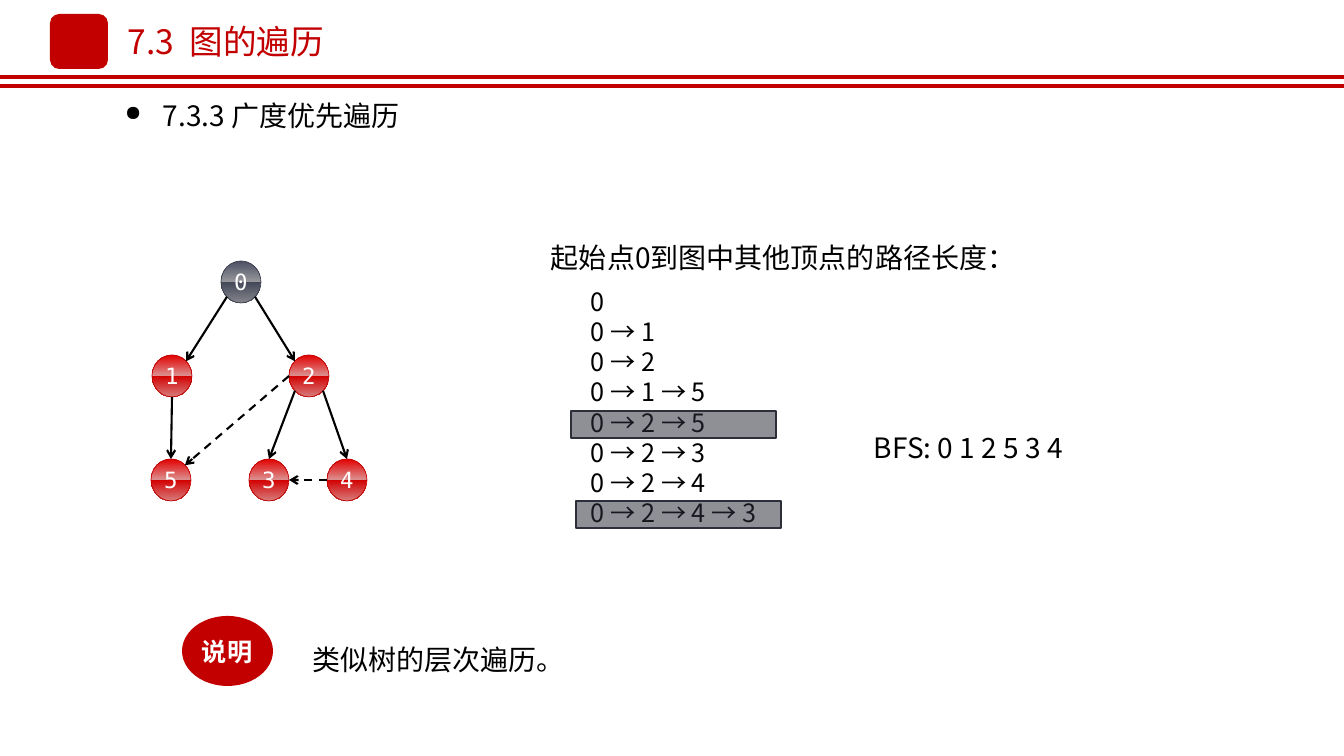
from lxml.etree import SubElement
from pptx import Presentation
from pptx.dml.color import RGBColor
from pptx.enum.dml import MSO_LINE
from pptx.enum.shapes import MSO_CONNECTOR, MSO_SHAPE
from pptx.enum.text import MSO_ANCHOR, MSO_AUTO_SIZE, PP_ALIGN
from pptx.oxml.ns import qn
from pptx.util import Pt

EMU_PER_PX = 914400 / 100.8
SLIDE_W, SLIDE_H = 1344, 756

RED = RGBColor(0xC3, 0x00, 0x00)
SLATE = RGBColor(0x2C, 0x2E, 0x3A)
SLATE_EDGE = RGBColor(0x3B, 0x3E, 0x4D)
BLACK = RGBColor(0x00, 0x00, 0x00)
WHITE = RGBColor(0xFF, 0xFF, 0xFF)
# Gloss: colours at 0, 50, 50 and 100 percent
GLOSS_STOPS = (0, 50, 50, 100)
RED_GLOSS = [RGBColor.from_string(c) for c in ("E20000", "DC9090", "D30000", "D77C7C")]
SLATE_GLOSS = [RGBColor.from_string(c) for c in ("4B4F62", "97979C", "434758", "84858B")]

CJK = "Noto Sans CJK SC"
MONO = "DejaVu Sans Mono"

# Node label: left, top inside the graph box
NODES = {"0": (70, 0), "1": (1, 94), "2": (138, 94),
         "5": (0, 198), "3": (98, 198), "4": (176, 198)}
NODE_W, NODE_H = 40, 42
# Points on a node's rim, as fractions of its size
RIM = {"top": (0.5, 0), "bottom": (0.5, 1), "left": (0, 0.5), "right": (1, 0.5),
       "top left": (0.15, 0.15), "top right": (0.85, 0.15),
       "bottom left": (0.15, 0.85), "bottom right": (0.85, 0.85)}
# From node, its rim point, to node, its rim point, dashed
EDGES = [("0", "bottom left", "1", "top right", False),
         ("0", "bottom right", "2", "top left", False),
         ("1", "bottom", "5", "top", False),
         ("2", "bottom left", "3", "top", False),
         ("2", "bottom right", "4", "top", False),
         ("4", "left", "3", "right", True),
         ("2", "left", "5", "top right", True)]
PATHS = ["0", "0 → 1", "0 → 2", "0 → 1 → 5", "0 → 2 → 5",
         "0 → 2 → 3", "0 → 2 → 4", "0 → 2 → 4 → 3"]


def px(length):
    return round(length * EMU_PER_PX)


def write(frame, text, size=20, color=BLACK, font=CJK, bold=False, align=None,
          bullet=None, line=None):
    for index, words in enumerate(text.split("\n")):
        paragraph = frame.paragraphs[0] if index == 0 else frame.add_paragraph()
        paragraph.alignment = align
        if line:
            paragraph.line_spacing = Pt(line)
        if bullet:
            props = paragraph._p.get_or_add_pPr()
            props.set("marL", str(px(38)))
            props.set("indent", str(-px(38)))
            SubElement(props, qn("a:buSzPct"), val="75000")
            SubElement(props, qn("a:buChar"), char=bullet)
        run = paragraph.add_run()
        run.text = words
        run.font.size, run.font.bold = Pt(size), bold
        run.font.color.rgb = color
        run.font.name = font
        SubElement(run._r.get_or_add_rPr(), qn("a:ea"), typeface=font)


def add_label(slide, text, box, wrap=True, insets=(10, 5, 10, 5),
              anchor=MSO_ANCHOR.TOP, **text_format):
    frame = slide.shapes.add_textbox(*map(px, box)).text_frame
    frame.word_wrap = wrap
    frame.auto_size = MSO_AUTO_SIZE.SHAPE_TO_FIT_TEXT
    frame.vertical_anchor = anchor
    (frame.margin_left, frame.margin_top,
     frame.margin_right, frame.margin_bottom) = map(px, insets)
    write(frame, text, **text_format)


def add_solid(slide, preset, box, fill, alpha=None, edge=None):
    shape = slide.shapes.add_shape(preset, *map(px, box))
    shape.shadow.inherit = False
    shape.fill.solid()
    shape.fill.fore_color.rgb = fill
    if alpha:
        color = shape._element.spPr.find(".//" + qn("a:srgbClr"))
        SubElement(color, qn("a:alpha"), val=str(alpha * 1000))
    if edge:
        shape.line.color.rgb = edge
        shape.line.width = Pt(1.5)
    else:
        shape.line.fill.background()


def add_line(slide, start, end, color=BLACK, width=1.5, dashed=False, arrow=False):
    line = slide.shapes.add_connector(MSO_CONNECTOR.STRAIGHT, *map(px, (*start, *end)))
    line.line.color.rgb = color
    line.line.width = Pt(width)
    if dashed:
        line.line.dash_style = MSO_LINE.DASH
    if arrow:
        SubElement(line.line._get_or_add_ln(), qn("a:tailEnd"), type="arrow")
    SubElement(line._element.spPr, qn("a:effectLst"))


def add_node(slide, label, box, gloss, edge):
    node = slide.shapes.add_shape(MSO_SHAPE.OVAL, *map(px, box))
    node.shadow.inherit = False
    node.fill.gradient()
    node.fill.gradient_angle = 270
    stops = node._element.spPr.find(".//" + qn("a:gsLst"))
    stops.clear()
    for position, color in zip(GLOSS_STOPS, gloss):
        stop = SubElement(stops, qn("a:gs"), pos=str(position * 1000))
        SubElement(stop, qn("a:srgbClr"), val=str(color))
    node.line.color.rgb = edge
    node.line.width = Pt(0.5)
    frame = node.text_frame
    frame.margin_left = frame.margin_top = frame.margin_right = frame.margin_bottom = 0
    frame.vertical_anchor = MSO_ANCHOR.MIDDLE
    write(frame, label, size=16, color=WHITE, font=MONO, align=PP_ALIGN.CENTER)


def add_header(slide, left, top, width):
    for rule_y in (top + 77, top + 86):
        add_line(slide, (left, rule_y), (left + width, rule_y), color=RED, width=3)
    # Plain emblem
    add_solid(slide, MSO_SHAPE.ROUNDED_RECTANGLE, (left + 50, top + 14, 58, 55), RED)
    add_label(slide, "7.3  图的遍历", (left + 118, top + 16, 300, 50),
              anchor=MSO_ANCHOR.MIDDLE, size=24, color=RED)
    add_label(slide, "7.3.3 广度优先遍历", (left + 115, top + 93, 534, 44), bullet="●")


def add_graph(slide, left, top):
    for label, (x, y) in NODES.items():
        gloss, edge = (SLATE_GLOSS, SLATE_EDGE) if label == "0" else (RED_GLOSS, RED)
        add_node(slide, label, (left + x, top + y, NODE_W, NODE_H), gloss, edge)

    def rim_point(label, side):
        (x, y), (across, down) = NODES[label], RIM[side]
        return left + x + across * NODE_W, top + y + down * NODE_H

    for source, source_side, target, target_side, dashed in EDGES:
        add_line(slide, rim_point(source, source_side), rim_point(target, target_side),
                 dashed=dashed, arrow=True)


def add_path_list(slide, left, top):
    add_label(slide, "起始点0到图中其他顶点的路径长度：", (left, top, 481, 44))
    add_label(slide, "\n".join(PATHS), (left + 40, top + 46, 244, 254), size=18)
    # Bars over the paths that are not taken
    for bar_x, bar_y in ((30, 176), (35, 266)):
        add_solid(slide, MSO_SHAPE.RECTANGLE, (left + bar_x, top + bar_y, 205, 27),
                  SLATE, alpha=53, edge=SLATE)
    add_label(slide, "BFS: 0 1 2 5 3 4", (left + 323, top + 190, 307, 44))


def add_remark(slide, left, top):
    add_solid(slide, MSO_SHAPE.OVAL, (left, top, 91, 70), RED)
    add_label(slide, "说明", (left + 10, top + 15, 72, 40), wrap=False,
              size=18, color=WHITE, bold=True)
    add_label(slide, "类似树的层次遍历。", (left + 110, top + 9, 283, 64),
              insets=(20, 12, 10, 12), line=28)


def main():
    deck = Presentation()
    deck.slide_width, deck.slide_height = px(SLIDE_W), px(SLIDE_H)
    slide = deck.slides.add_slide(deck.slide_layouts[6])
    add_header(slide, 0, 0, SLIDE_W)
    add_path_list(slide, 541, 235)
    add_graph(slide, 151, 261)
    add_remark(slide, 182, 616)
    deck.save("out.pptx")


if __name__ == "__main__":
    main()
